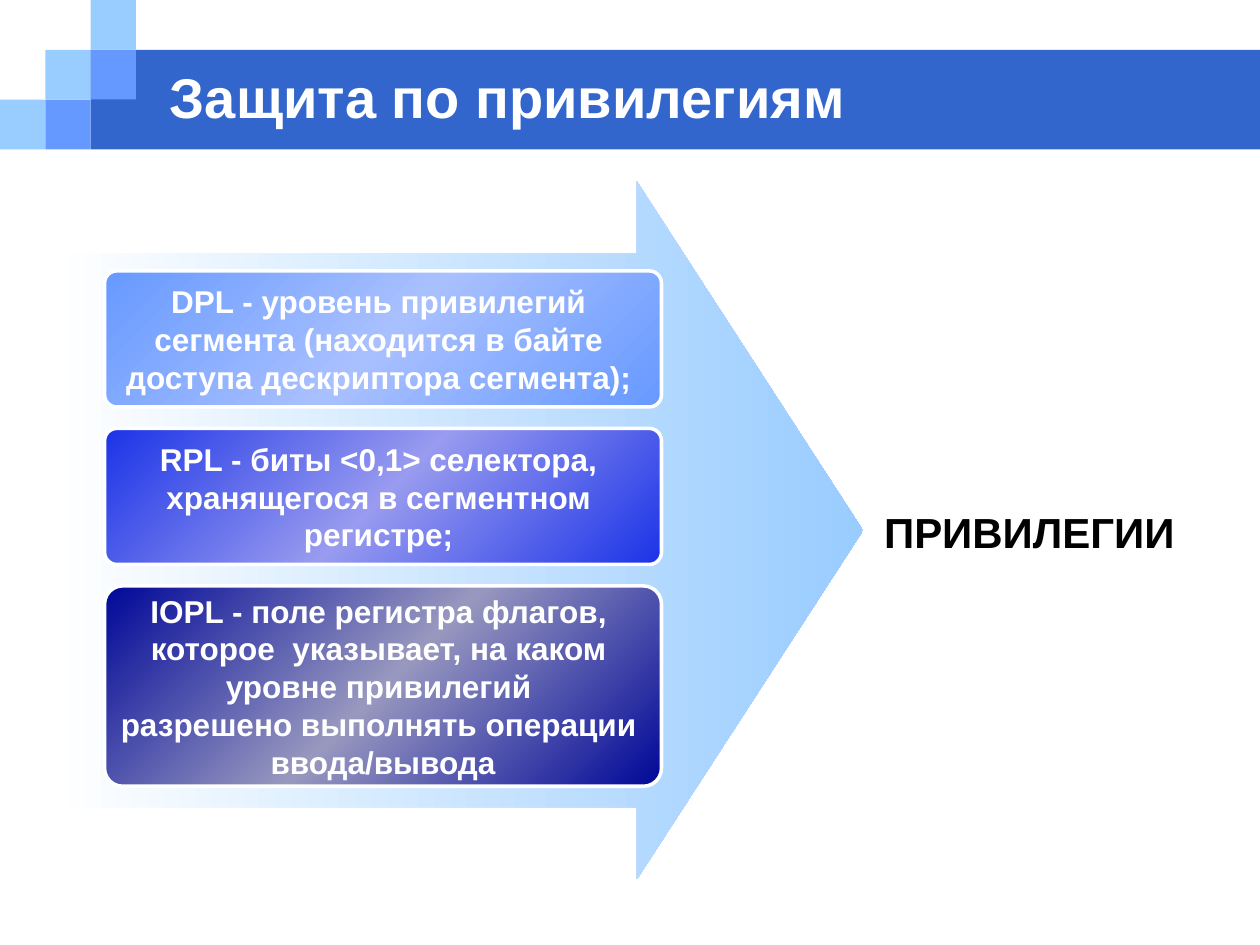
from copy import deepcopy

from pptx import Presentation
from pptx.dml.color import RGBColor
from pptx.enum.shapes import MSO_SHAPE
from pptx.enum.text import MSO_ANCHOR, PP_ALIGN
from pptx.util import Inches, Pt

WHITE = RGBColor(0xFF, 0xFF, 0xFF)
BLACK = RGBColor(0, 0, 0)
BLUE = RGBColor(0x33, 0x66, 0xCC)
SKY = RGBColor(0x99, 0xCC, 0xFF)
MID = RGBColor(0x66, 0x99, 0xFF)
PALE = RGBColor(0xA9, 0xC0, 0xFF)
ROYAL = RGBColor(0x1B, 0x33, 0xE7)
LILAC = RGBColor(0x98, 0x9B, 0xEF)
NAVY = RGBColor(0x00, 0x07, 0x98)
GREY = RGBColor(0x98, 0x98, 0xBF)

FONT = "Arial"
COL, ROW = 0.36, 0.395  # cell of the header grid
ROUND = 0.09

LEVELS = [
    (1.08, MID, PALE, [
        "DPL - уровень привилегий ",
        "сегмента (находится в байте ",
        "доступа дескриптора сегмента); ",
    ]),
    (1.08, ROYAL, LILAC, [
        "RPL - биты <0,1> селектора, ",
        "хранящегося в сегментном ",
        "регистре; ",
    ]),
    (1.59, NAVY, GREY, [
        "IOPL - поле регистра флагов, ",
        "которое  указывает, на каком ",
        "уровне привилегий ",
        "разрешено выполнять операции ",
        "ввода/вывода",
    ]),
]


def add_form(slide, kind, box, color=None):
    form = slide.shapes.add_shape(kind, *map(Inches, box))
    form.shadow.inherit = False
    form.line.fill.background()
    if color is not None:
        form.fill.solid()
        form.fill.fore_color.rgb = color
    return form


def blend(form, colors, angle):
    """Fill with evenly spaced gradient stops; angle is counter-clockwise."""
    form.fill.gradient()
    form.fill.gradient_angle = angle
    stops = form._element.xpath("./p:spPr/a:gradFill/a:gsLst")[0]
    for _ in colors[2:]:
        stops.insert(1, deepcopy(stops[0]))
    for i, (stop, color) in enumerate(zip(form.fill.gradient_stops, colors)):
        stop.color.rgb = color
        stop.position = i / (len(colors) - 1)


def write(form, lines, size, color, align=PP_ALIGN.CENTER, wrap=True):
    frame = form.text_frame
    frame.word_wrap = wrap
    frame.vertical_anchor = MSO_ANCHOR.MIDDLE
    frame.text = "\n".join(lines)
    for para in frame.paragraphs:
        para.alignment = align
        font = para.font
        font.name, font.size, font.bold = FONT, Pt(size), True
        font.color.rgb = color


def add_header(slide, width):
    add_form(slide, MSO_SHAPE.RECTANGLE,
             (2 * COL, ROW, width - 2 * COL, 2 * ROW), BLUE)
    cells = [(0, 2, SKY), (1, 1, SKY), (2, 0, SKY), (2, 1, MID), (1, 2, MID)]
    for col, row, color in cells:
        add_form(slide, MSO_SHAPE.RECTANGLE,
                 (col * COL, row * ROW, COL, ROW), color)
    title = slide.shapes.add_textbox(
        *map(Inches, (1.25, 0.5, 8.08, 0.53)))
    write(title, ["Защита по привилегиям"], 32, WHITE, PP_ALIGN.LEFT)


def add_arrow(slide, box):
    arrow = add_form(slide, MSO_SHAPE.RIGHT_ARROW, box)
    arrow.adjustments[0] = 0.793
    arrow.adjustments[1] = 0.324
    blend(arrow, [WHITE, SKY], 0)


def add_levels(slide, left, top, width, gap):
    for height, edge, core, lines in LEVELS:
        card = add_form(slide, MSO_SHAPE.ROUNDED_RECTANGLE,
                        (left, top, width, height))
        card.adjustments[0] = ROUND
        blend(card, [edge, core, edge], 315)
        card.line.color.rgb = WHITE
        card.line.width = Pt(2)
        write(card, lines, 18, WHITE, wrap=False)
        top += height + gap


def add_label(slide, box):
    label = add_form(slide, MSO_SHAPE.ROUNDED_RECTANGLE, box)
    label.adjustments[0] = ROUND
    label.fill.background()
    write(label, ["ПРИВИЛЕГИИ"], 24, BLACK)


def main():
    deck = Presentation()
    deck.slide_width, deck.slide_height = Inches(10), Inches(7.5)
    slide = deck.slides.add_slide(deck.slide_layouts[6])
    add_header(slide, 10)
    add_arrow(slide, (0.42, 1.44, 6.43, 5.54))
    add_levels(slide, 0.83, 2.15, 4.42, 0.17)
    add_label(slide, (6.85, 3.51, 2.64, 1.42))
    deck.save("out.pptx")


if __name__ == "__main__":
    main()
